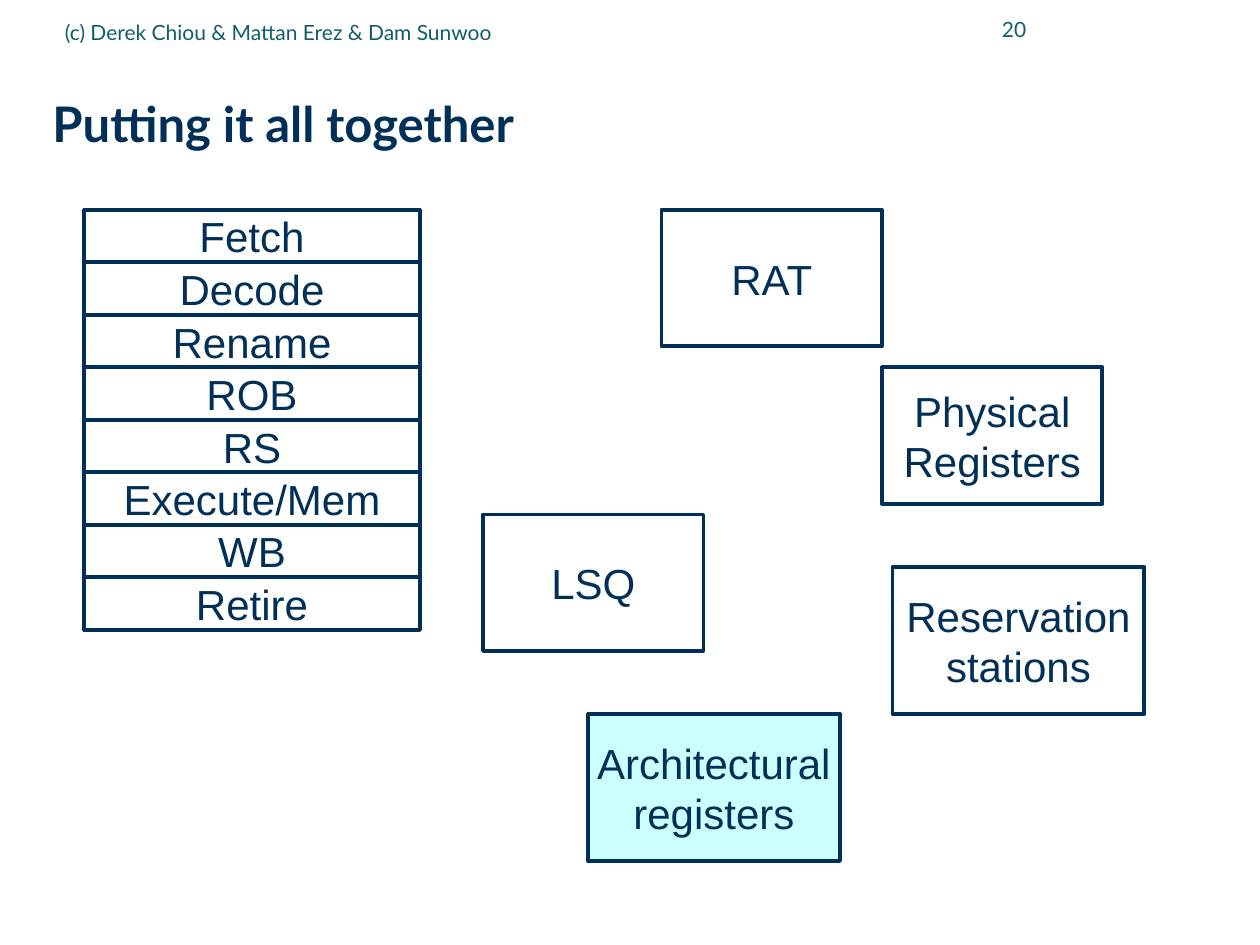
from pptx import Presentation
from pptx.dml.color import RGBColor
from pptx.enum.shapes import MSO_SHAPE as Shape
from pptx.enum.text import MSO_ANCHOR as Anchor, PP_ALIGN as Align
from pptx.util import Pt

NAVY = "003057"
TEAL = "115E67"


def color(hex_text):
    return RGBColor.from_string(hex_text)


def write_text(shape, text, font="Arial", size=24, hex_color=NAVY, bold=False,
               align=Align.CENTER, wrap=False, margins=(7.2, 3.6)):
    """Fill a shape with text; \\n starts a paragraph, \\v breaks a line."""
    frame = shape.text_frame
    frame.text = text
    frame.word_wrap = wrap
    frame.vertical_anchor = Anchor.MIDDLE
    frame.margin_left = frame.margin_right = Pt(margins[0])
    frame.margin_top = frame.margin_bottom = Pt(margins[1])
    for paragraph in frame.paragraphs:
        paragraph.alignment = align
        for run in paragraph.runs:
            run.font.name = font
            run.font.size = Pt(size)
            run.font.bold = bold
            run.font.color.rgb = color(hex_color)


presentation = Presentation()
presentation.slide_width = Pt(720)
presentation.slide_height = Pt(540)
slide = presentation.slides.add_slide(presentation.slide_layouts[5])

# Title
title = slide.shapes.title
title.left, title.top, title.width, title.height = Pt(30), Pt(36), Pt(677.5), Pt(70.5)
write_text(title, "Putting it all together", font="Lato", size=28, bold=True,
           align=Align.LEFT, wrap=True, margins=(0, 0))
title.text_frame.paragraphs[0].line_spacing = 0.99

# Page header
headers = [
    ("20", 528, -1.5, 65.5, 36, Align.RIGHT),
    ("(c) Derek Chiou & Mattan Erez & Dam Sunwoo", 30, 2, 408, 33, Align.LEFT),
]
for text, left, top, width, height, align in headers:
    header = slide.shapes.add_textbox(Pt(left), Pt(top), Pt(width), Pt(height))
    write_text(header, text, font="Lato", size=12, hex_color=TEAL, align=align, wrap=True)

# Pipeline stages stacked on the left, then the hardware structures
stages = ["Fetch", "Decode", "Rename", "ROB", "RS", "Execute/Mem", "WB", "Retire"]
boxes = [(stage, 48, 120 + 30 * row, 192, 30, "FFFFFF") for row, stage in enumerate(stages)]
boxes += [
    ("RAT", 378, 120, 126, 78, None),
    ("Physical\vRegisters", 504, 210, 126, 78, None),
    ("LSQ", 276, 294, 126, 78, None),
    ("Reservation\vstations", 510, 324, 144, 84, None),
    ("Architectural\nregisters", 336, 408, 144, 84, "CCFFFF"),
]
for text, left, top, width, height, fill in boxes:
    box = slide.shapes.add_shape(Shape.RECTANGLE, Pt(left), Pt(top), Pt(width), Pt(height))
    box.shadow.inherit = False
    if fill:
        box.fill.solid()
        box.fill.fore_color.rgb = color(fill)
    else:
        box.fill.background()
    box.line.color.rgb = color(NAVY)
    box.line.width = Pt(2.25)
    write_text(box, text)

presentation.save("out.pptx")
